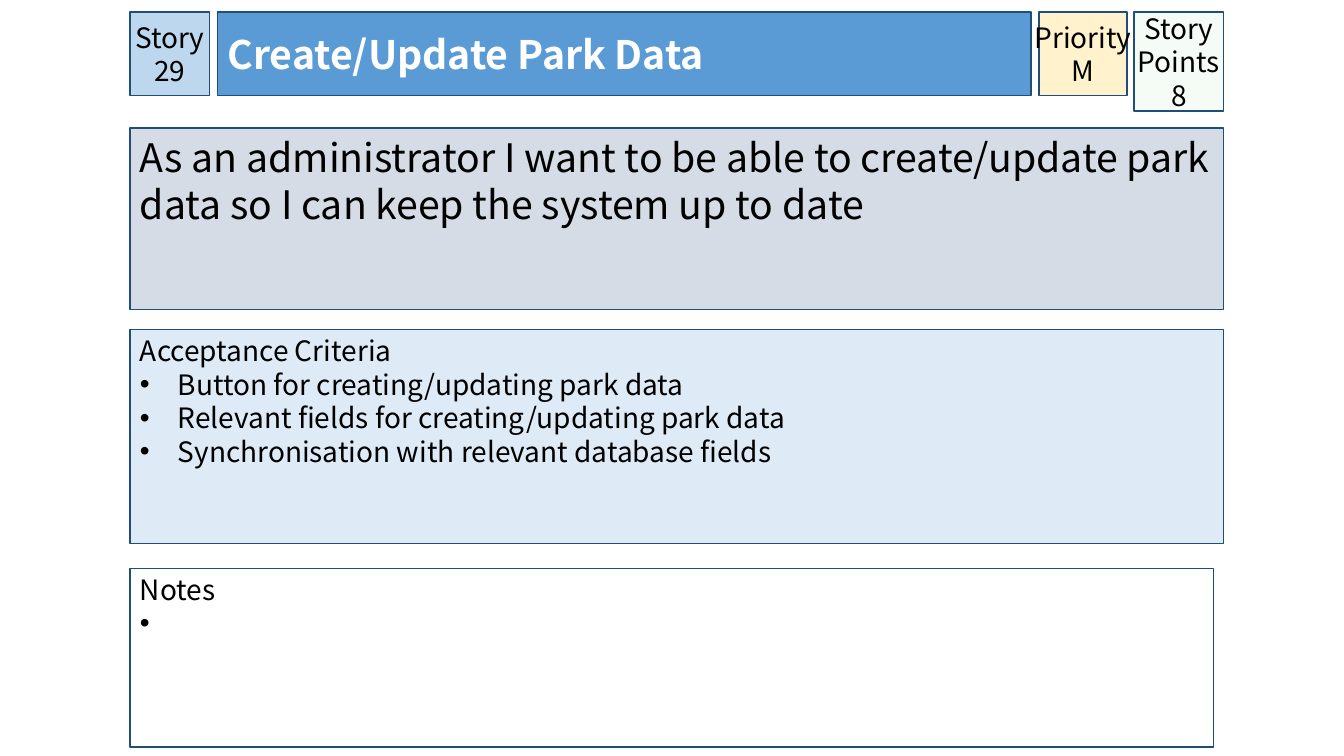
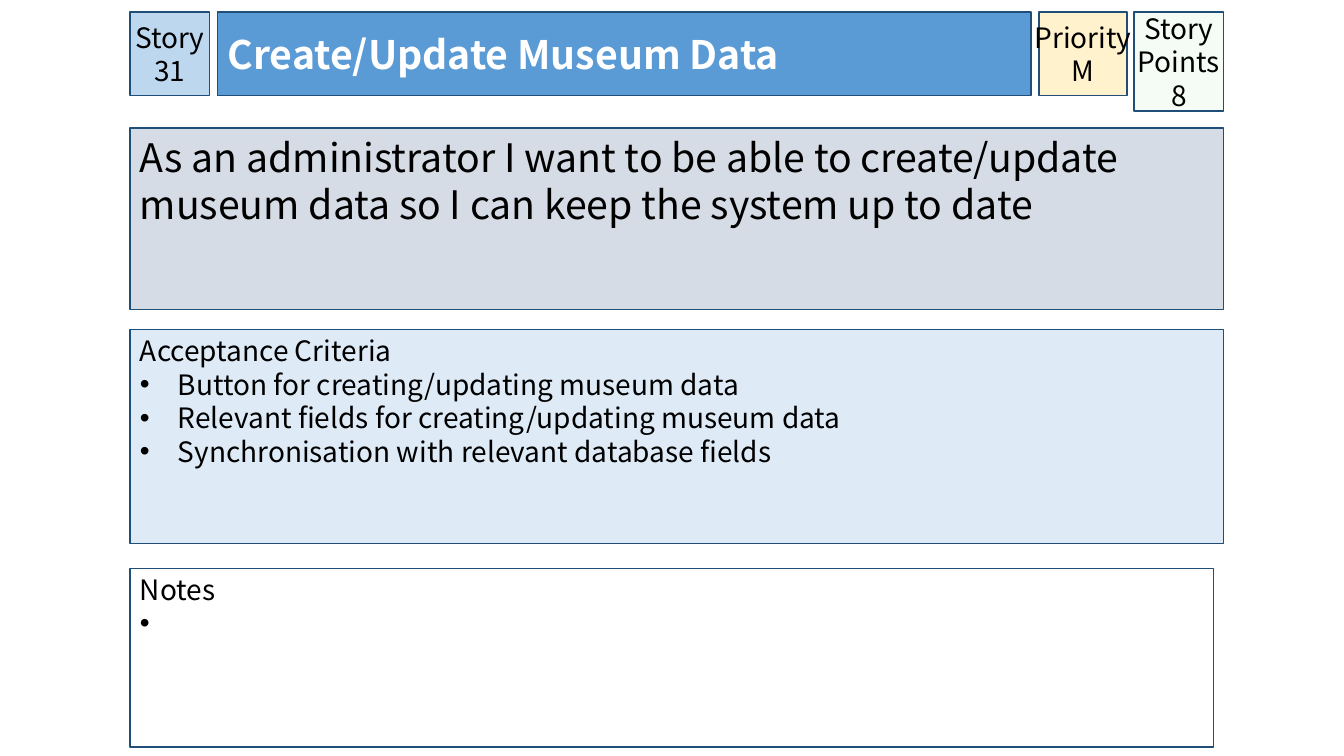
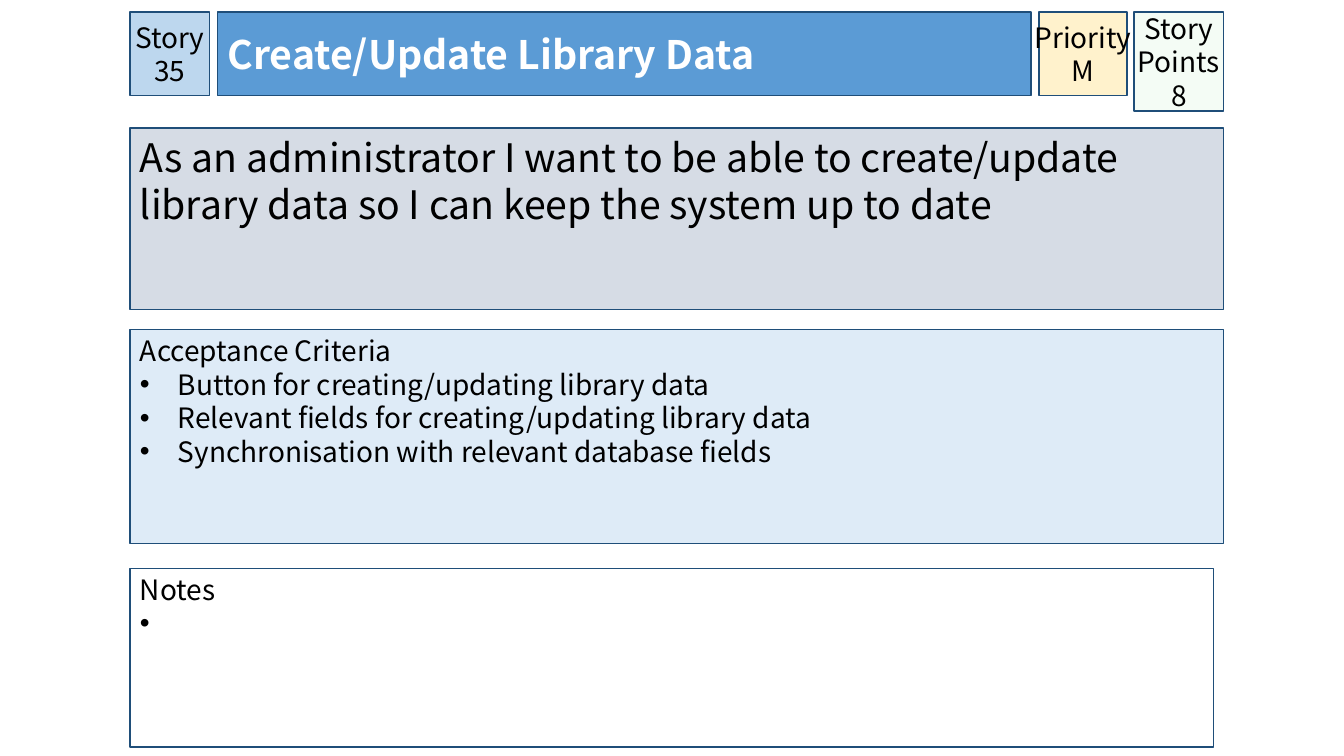
from dataclasses import dataclass

from lxml import etree
from pptx import Presentation
from pptx import util as u
from pptx.dml.color import RGBColor
from pptx.enum import shapes, text
from pptx.oxml import ns

# Shared look
FONT = "Noto Sans CJK KR"
BLACK = RGBColor(0x00, 0x00, 0x00)
WHITE = RGBColor(0xFF, 0xFF, 0xFF)
NAVY = RGBColor(0x1F, 0x4E, 0x79)
BLUE = RGBColor(0x5B, 0x9B, 0xD5)
SKY = RGBColor(0xBD, 0xD7, 0xEE)
GREY = RGBColor(0xD6, 0xDC, 0xE5)
PALE_BLUE = RGBColor(0xDE, 0xEB, 0xF7)
MINT = RGBColor(0xCC, 0xF0, 0xCD)
CREAM = RGBColor(0xFF, 0xF2, 0xCC)

LEFT = 92.88
TOP = 8.64
HEADER_HEIGHT = 59.76
FULL_WIDTH = 781.2

LEFT_ALIGN, CENTER = text.PP_ALIGN.LEFT, text.PP_ALIGN.CENTER
UPPER, MIDDLE = text.MSO_ANCHOR.TOP, text.MSO_ANCHOR.MIDDLE


@dataclass(frozen=True)
class Story:
    number: int
    place: str
    priority: str = "M"
    points: int = 8


@dataclass(frozen=True)
class Panel:
    left: float
    top: float
    width: float
    height: float
    fill: RGBColor
    size: float = 20
    color: RGBColor = BLACK
    bold: bool = False
    align: text.PP_ALIGN = LEFT_ALIGN
    anchor: text.MSO_ANCHOR = UPPER
    side_inset: float = 7.2
    top_inset: float = 3.6
    wrap: bool = True
    opacity: int = 100
    indent: float = 27


BADGE = {"align": CENTER, "anchor": MIDDLE, "side_inset": 0}
NUMBER = Panel(LEFT, TOP, 56.88, HEADER_HEIGHT, SKY, **BADGE)
TITLE = Panel(155.52, TOP, 581.04, HEADER_HEIGHT, BLUE, size=28, color=WHITE,
              bold=True, anchor=MIDDLE)
WISH = Panel(LEFT, 91.44, FULL_WIDTH, 129.6, GREY, size=28)
CRITERIA = Panel(LEFT, 235.44, FULL_WIDTH, 152.64, PALE_BLUE, top_inset=2.88)
POINTS = Panel(810, TOP, 64.08, 70.56, MINT, opacity=20, **BADGE)
PRIORITY = Panel(742.32, TOP, 62.64, HEADER_HEIGHT, CREAM, wrap=False, **BADGE)
NOTES = Panel(LEFT, 406.08, 774, 127.44, WHITE, top_inset=2.88, indent=14.4)


def add_bullet(para, indent: float) -> None:
    """Give a paragraph a round bullet with a hanging indent."""
    props = para._p.get_or_add_pPr()
    props.set("marL", str(u.Pt(indent)))
    props.set("indent", str(-u.Pt(indent)))
    etree.SubElement(props, ns.qn("a:buFont")).set("typeface", "Arial")
    etree.SubElement(props, ns.qn("a:buChar")).set("char", "•")


def add_panel(page, panel: Panel, lines: list[str], bullets: tuple[str, ...] = ()) -> None:
    """Draw one outlined box with plain lines followed by bulleted lines."""
    box = page.shapes.add_shape(
        shapes.MSO_SHAPE.RECTANGLE,
        *map(u.Pt, (panel.left, panel.top, panel.width, panel.height)))
    box.shadow.inherit = False
    box.fill.solid()
    box.fill.fore_color.rgb = panel.fill
    if panel.opacity < 100:
        tint = box._element.spPr.find(f".//{ns.qn('a:srgbClr')}")
        etree.SubElement(tint, ns.qn("a:alpha")).set("val", str(panel.opacity * 1000))
    box.line.color.rgb = NAVY
    box.line.width = u.Pt(1)

    frame = box.text_frame
    frame_format = {
        "margin_left": u.Pt(panel.side_inset), "margin_right": u.Pt(panel.side_inset),
        "margin_top": u.Pt(panel.top_inset), "margin_bottom": u.Pt(3.6),
        "vertical_anchor": panel.anchor, "word_wrap": panel.wrap,
    }
    for name, value in frame_format.items():
        setattr(frame, name, value)

    span_format = {"name": FONT, "size": u.Pt(panel.size), "bold": panel.bold}
    for index, line in enumerate([*lines, *bullets]):
        para = frame.add_paragraph() if index else frame.paragraphs[0]
        para.alignment = panel.align
        if index >= len(lines):
            add_bullet(para, panel.indent)
        span = para.add_run()
        span.text = line
        for name, value in span_format.items():
            setattr(span.font, name, value)
        span.font.color.rgb = panel.color


def add_story(deck, story: Story) -> None:
    """Add the card of one user story."""
    page = deck.slides.add_slide(deck.slide_layouts[6])
    add_panel(page, NUMBER, [f"Story {story.number}"])
    add_panel(page, TITLE, [f"Create/Update {story.place.title()} Data"])
    add_panel(page, WISH, [f"As an administrator I want to be able to create/update "
                           f"{story.place} data so I can keep the system up to date"])
    add_panel(page, CRITERIA, ["Acceptance Criteria"], (
        f"Button for creating/updating {story.place} data",
        f"Relevant fields for creating/updating {story.place} data",
        "Synchronisation with relevant database fields"))
    add_panel(page, POINTS, ["Story Points", str(story.points)])
    add_panel(page, PRIORITY, ["Priority", story.priority])
    add_panel(page, NOTES, ["Notes"], (" ",))


# Build the deck
deck = Presentation()
deck.slide_width, deck.slide_height = u.Pt(960), u.Pt(540)
for story in (Story(29, "park"), Story(31, "museum"), Story(35, "library")):
    add_story(deck, story)
deck.save("out.pptx")
